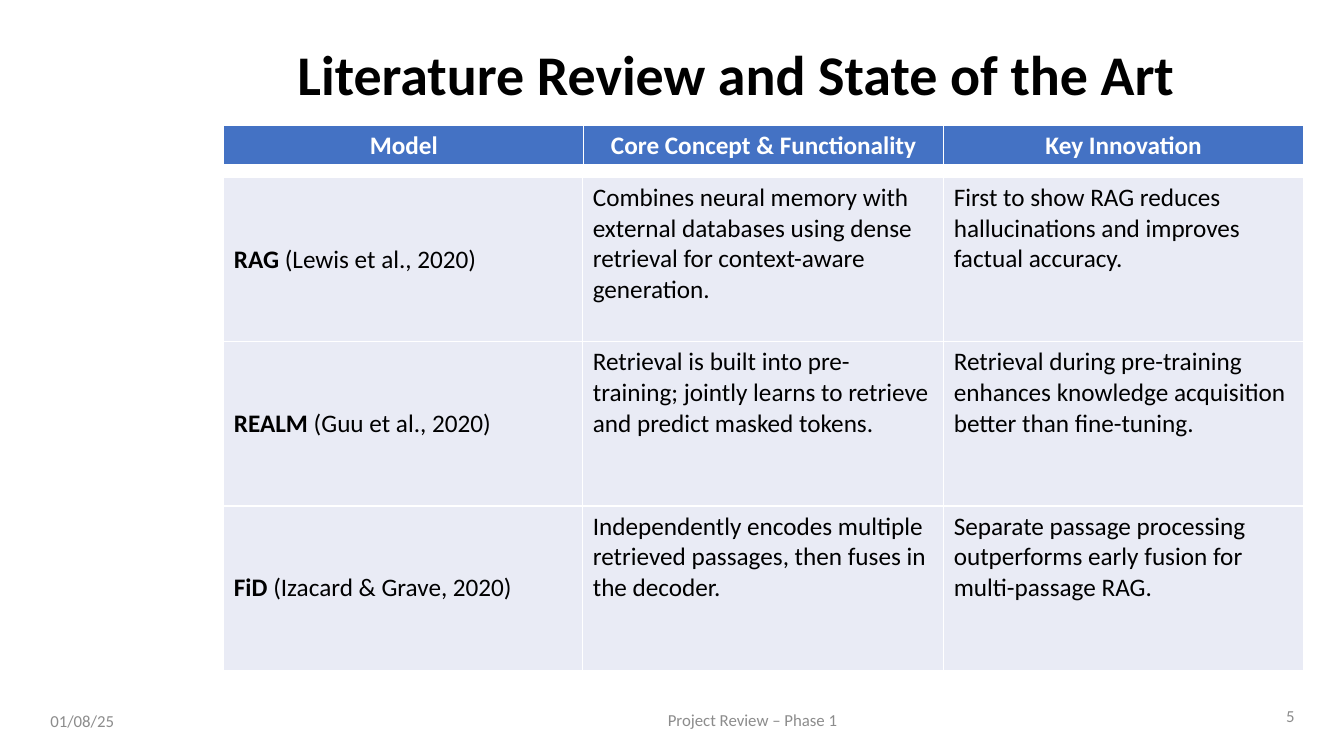
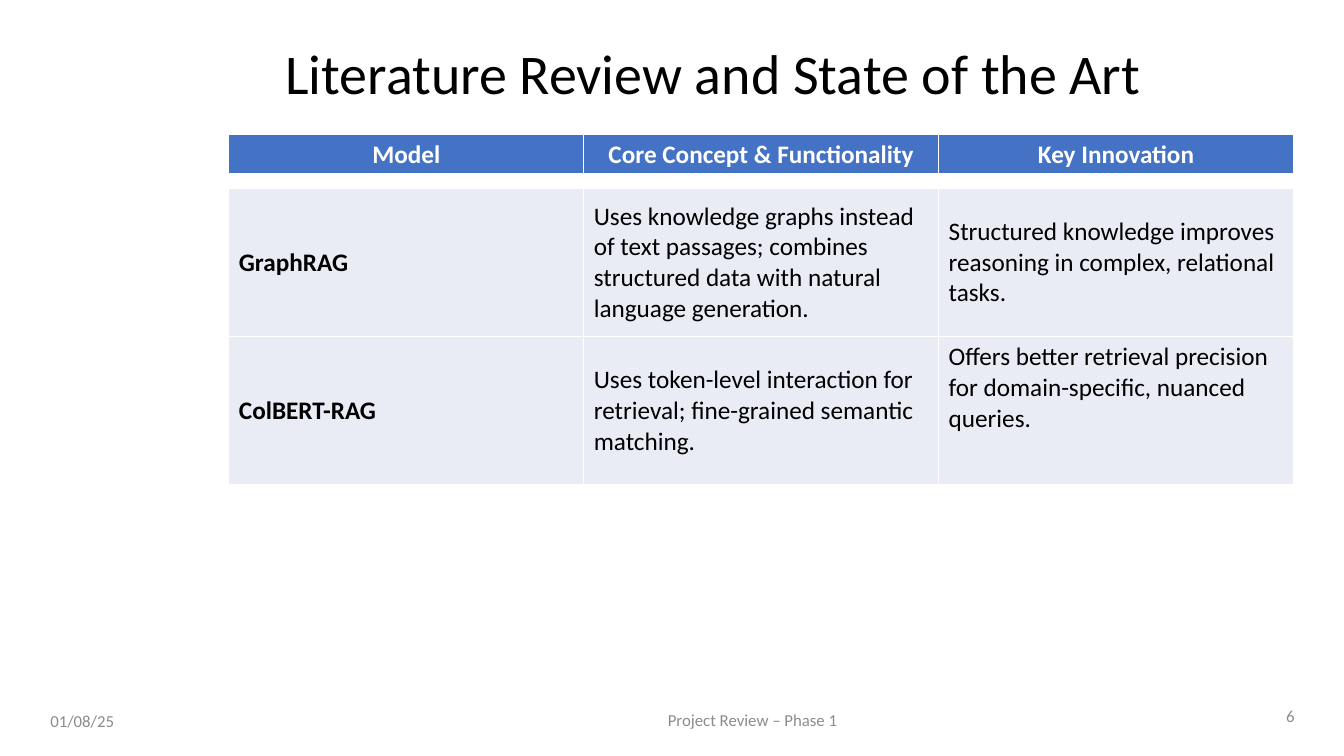
from pptx import Presentation
from pptx.dml.color import RGBColor
from pptx.enum.text import MSO_ANCHOR as Anchor, PP_ALIGN as Align
from pptx.oxml.ns import qn
from pptx.util import Inches, Pt
from lxml import etree

FONT = "Calibri"
BLACK, WHITE, GREY = "000000", "FFFFFF", "8C8C8C"
HEADER_FILL, BODY_FILL = "4472C4", "E9EBF5"
TITLE = "Literature Review and State of the Art"
HEADERS = ["Model", "Core Concept & Functionality", "Key Innovation"]
HEADER_HEIGHT = 0.4
DATE, FOOTER = "01/08/25", "Project Review – Phase 1"
TOP, MIDDLE = Anchor.TOP, Anchor.MIDDLE

# Boxes are left, top, width, height in inches.
# Each row: model, citation, concept, innovation; anchors run per column.
SLIDES = [
    dict(
        number=5, title_box=(2.85, 0.34, 9.64, 0.77), title_bold=True,
        left=2.22, header_top=1.24, body_top=1.76,
        header_cols=[3.57, 3.57, 3.57], body_cols=[3.56, 3.58, 3.57], row_height=1.63,
        rows=[
            ("RAG", " (Lewis et al., 2020)",
             "Combines neural memory with external databases using dense retrieval "
             "for context-aware generation.",
             "First to show RAG reduces hallucinations and improves factual accuracy."),
            ("REALM", " (Guu et al., 2020)",
             "Retrieval is built into pre-training; jointly learns to retrieve "
             "and predict masked tokens.",
             "Retrieval during pre-training enhances knowledge acquisition "
             "better than fine-tuning."),
            ("FiD", " (Izacard & Grave, 2020)",
             "Independently encodes multiple retrieved passages, then fuses in the decoder.",
             "Separate passage processing outperforms early fusion for multi-passage RAG."),
        ],
        anchors=[(MIDDLE, TOP, TOP)] * 3,
    ),
    dict(
        number=6, title_box=(2.73, 0.33, 9.47, 0.77), title_bold=False,
        left=2.27, header_top=1.33, body_top=1.87,
        header_cols=[3.52, 3.52, 3.52], body_cols=[3.52, 3.52, 3.52], row_height=1.47,
        rows=[
            ("GraphRAG", "",
             "Uses knowledge graphs instead of text passages; combines structured data "
             "with natural language generation.",
             "Structured knowledge improves reasoning in complex, relational tasks."),
            ("ColBERT-RAG", "",
             "Uses token-level interaction for retrieval; fine-grained semantic matching.",
             "Offers better retrieval precision for domain-specific, nuanced queries."),
        ],
        anchors=[(MIDDLE, MIDDLE, MIDDLE), (MIDDLE, MIDDLE, TOP)],
    ),
]


def rgb(value):
    return RGBColor.from_string(value)


def write(tf, runs, size, color, align=Align.LEFT, anchor=TOP):
    """Fill a text frame with one paragraph of (text, bold) runs."""
    tf.word_wrap = True
    tf.vertical_anchor = anchor
    p = tf.paragraphs[0]
    p.alignment = align
    for text, bold in runs:
        r = p.add_run()
        r.text = text
        for name, value in dict(name=FONT, size=Pt(size), bold=bold).items():
            setattr(r.font, name, value)
        r.font.color.rgb = rgb(color)


def set_borders(cell, bottom):
    """Draw white cell borders, 1 pt except for the bottom one."""
    tc_pr = cell._tc.get_or_add_tcPr()
    for tag, width in dict(lnL=1, lnR=1, lnT=1, lnB=bottom).items():
        ln = etree.SubElement(tc_pr, qn(f"a:{tag}"), w=str(Pt(width)))
        fill = etree.SubElement(ln, qn("a:solidFill"))
        etree.SubElement(fill, qn("a:srgbClr"), val=WHITE)


def add_table(s, left, top, cols, row_height, rows, anchors, fill, color, align, bottom):
    """Add a table; each cell of rows is a list of (text, bold) runs."""
    box = map(Inches, (left, top, sum(cols), row_height * len(rows)))
    table = s.shapes.add_table(len(rows), len(cols), *box).table
    table.first_row = table.horz_banding = False
    for column, width in zip(table.columns, cols):
        column.width = Inches(width)
    for row, cells, row_anchors in zip(table.rows, rows, anchors):
        row.height = Inches(row_height)
        for cell, runs, anchor in zip(row.cells, cells, row_anchors):
            set_borders(cell, bottom)
            cell.fill.solid()
            cell.fill.fore_color.rgb = rgb(fill)
            write(cell.text_frame, runs, 18, color, align)
            cell.vertical_anchor = anchor


def add_footer(s, number):
    for text, box, align in [
        (DATE, (0.4, 6.95, 1.35, 0.4), Align.LEFT),
        (FOOTER, (4.3, 6.94, 6.33, 0.4), Align.CENTER),
        (str(number), (12.36, 6.9, 0.58, 0.4), Align.RIGHT),
    ]:
        tf = s.shapes.add_textbox(*map(Inches, box)).text_frame
        write(tf, [(text, False)], 12, GREY, align, MIDDLE)


def add_title(s, box, bold):
    title = s.shapes.title
    title.left, title.top, title.width, title.height = map(Inches, box)
    write(title.text_frame, [(TITLE, bold)], 40, BLACK)


def body_cells(model, citation, concept, innovation):
    model_runs = [(model, True)] + ([(citation, False)] if citation else [])
    return [model_runs, [(concept, False)], [(innovation, False)]]


def main():
    prs = Presentation()
    prs.slide_width, prs.slide_height = Inches(13.33), Inches(7.5)
    title_only = prs.slide_layouts[5]
    for data in SLIDES:
        s = prs.slides.add_slide(title_only)
        add_title(s, data["title_box"], data["title_bold"])
        add_table(s, data["left"], data["header_top"], data["header_cols"], HEADER_HEIGHT,
                  [[[(text, True)] for text in HEADERS]], [(TOP,) * len(HEADERS)],
                  HEADER_FILL, WHITE, Align.CENTER, bottom=3)
        add_table(s, data["left"], data["body_top"], data["body_cols"], data["row_height"],
                  [body_cells(*row) for row in data["rows"]], data["anchors"],
                  BODY_FILL, BLACK, Align.LEFT, bottom=1)
        add_footer(s, data["number"])
    prs.save("out.pptx")


if __name__ == "__main__":
    main()
